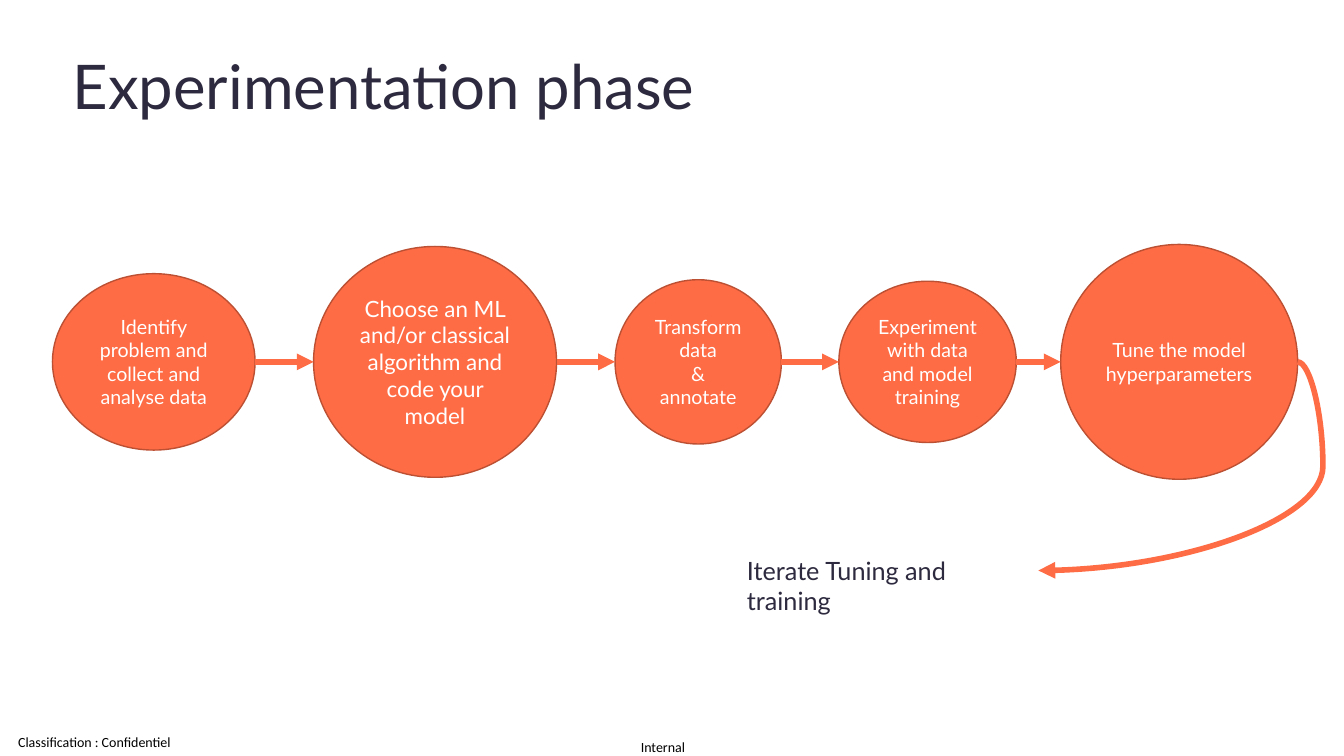
from dataclasses import dataclass

from lxml import etree
from pptx import Presentation
from pptx.dml.color import RGBColor
from pptx.enum.shapes import MSO_CONNECTOR, MSO_SHAPE
from pptx.enum.text import MSO_ANCHOR, MSO_AUTO_SIZE, PP_ALIGN
from pptx.oxml.ns import qn
from pptx.util import Inches, Pt

OVAL = MSO_SHAPE.OVAL
STRAIGHT, CURVE = MSO_CONNECTOR.STRAIGHT, MSO_CONNECTOR.CURVE
LEFT, CENTER = PP_ALIGN.LEFT, PP_ALIGN.CENTER
TOP, MIDDLE = MSO_ANCHOR.TOP, MSO_ANCHOR.MIDDLE
FIXED = MSO_AUTO_SIZE.NONE


@dataclass(frozen=True)
class Theme:
    font: str = "Lato"
    label: str = "Calibri"
    ink: str = "2D293E"
    coral: str = "FE6C45"
    edge: str = "BC5033"
    white: str = "FFFFFF"
    black: str = "000000"
    title: int = 44
    note: int = 18
    large: int = 16
    step: int = 14
    small: int = 10


THEME = Theme()
TITLE = "Experimentation phase"
STEPS = [
    ("Identify problem and collect and analyse data", 0.52, 2.01, 1.75, THEME.step),
    ("Choose an ML and/or classical algorithm and code your model",
     3.11, 2.41, 2.29, THEME.large),
    ("Transform data\n&\nannotate", 6.1, 1.65, 1.63, THEME.step),
    ("Experiment with data and model training", 8.32, 1.76, 1.6, THEME.step),
    ("Tune the model hyperparameters", 10.52, 2.35, 2.33, THEME.step),
]
NOTE = ("Iterate Tuning and training", 7.31, 5.46, 2.99, 0.4)
MARKS = [
    ("Classification : Confidentiel", 0.18, 7.28, 1.7, 0.17, LEFT),
    ("Internal", 6.34, 7.33, 0.47, 0.17, CENTER),
]
AXIS = 3.59
LOOP = (10.3, 5.66)
BULGE = -9800


def color(code):
    return RGBColor.from_string(code)


def write(shape, text, size, ink, font=THEME.font, align=LEFT, anchor=TOP):
    frame = shape.text_frame
    frame.text = text
    frame.word_wrap = True
    frame.auto_size = FIXED
    frame.vertical_anchor = anchor
    for para in frame.paragraphs:
        para.alignment = align
        for run in para.runs:
            run.font.size = Pt(size)
            run.font.name = font
            run.font.color.rgb = color(ink)
    return frame


def add_box(text, x, y, wide, high, *style):
    box = slide.shapes.add_textbox(Inches(x), Inches(y), Inches(wide), Inches(high))
    return write(box, text, *style)


def add_step(text, x, wide, high, size):
    oval = slide.shapes.add_shape(
        OVAL, Inches(x), Inches(AXIS - high / 2), Inches(wide), Inches(high))
    oval.shadow.inherit = False
    oval.fill.solid()
    oval.fill.fore_color.rgb = color(THEME.coral)
    oval.line.color.rgb = color(THEME.edge)
    oval.line.width = Pt(1)
    write(oval, text, size, THEME.white, align=CENTER, anchor=MIDDLE)


def add_arrow(kind, start, end):
    arrow = slide.shapes.add_connector(kind, *map(Inches, start + end))
    arrow.line.color.rgb = color(THEME.coral)
    arrow.line.width = Pt(4)
    props = arrow.element.spPr
    etree.SubElement(props.find(qn("a:ln")), qn("a:tailEnd"), type="triangle")
    etree.SubElement(props, qn("a:effectLst"))
    return props


deck = Presentation()
deck.slide_width, deck.slide_height = Inches(13.33), Inches(7.5)
slide = deck.slides.add_slide(deck.slide_layouts[5])

title = slide.shapes.title
title.left, title.top = Inches(0.62), Inches(0.16)
title.width, title.height = Inches(11.5), Inches(1.45)
frame = write(title, TITLE, THEME.title, THEME.ink, anchor=MIDDLE)
frame.paragraphs[0].line_spacing = 0.9

for step in STEPS:
    add_step(*step)

for (_, x, wide, *_), (_, after, *_) in zip(STEPS, STEPS[1:]):
    add_arrow(STRAIGHT, (x + wide, AXIS), (after, AXIS))

_, x, wide, *_ = STEPS[-1]
curve = add_arrow(CURVE, (x + wide, AXIS), LOOP)
guides = curve.find(qn("a:prstGeom")).find(qn("a:avLst"))
etree.SubElement(guides, qn("a:gd"), name="adj1", fmla=f"val {BULGE}")

add_box(*NOTE, THEME.note, THEME.ink)

for *place, align in MARKS:
    frame = add_box(*place, THEME.small, THEME.black, THEME.label, align)
    frame.margin_left = frame.margin_right = 0
    frame.margin_top = frame.margin_bottom = 0
    frame.word_wrap = False

deck.save("out.pptx")
